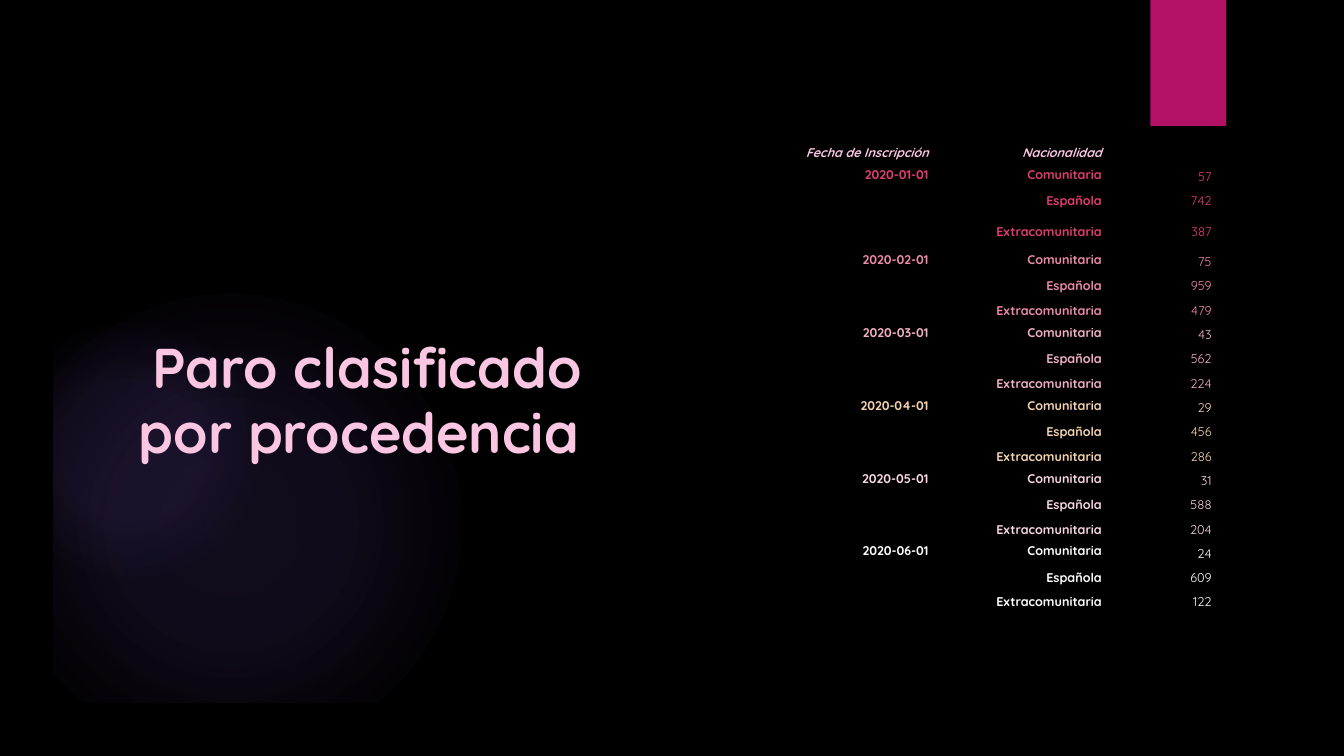
from lxml import etree
from pptx import Presentation
from pptx.dml.color import RGBColor
from pptx.enum.shapes import MSO_SHAPE as Preset
from pptx.enum.text import MSO_ANCHOR as Anchor, PP_ALIGN as Align
from pptx.oxml.ns import qn
from pptx.util import Pt

FONT = "Quicksand"
COLORS = {"black": "000000", "glow": "9B6BF2", "ribbon": "B31166", "title": "FAC6E1"}
NO_STYLE = "{2D5ABB26-0587-4C30-8999-92F81FD0307C}"
WIDTH, HEIGHT = 960, 540

HEADERS = ["Fecha de Inscripción", "Nacionalidad", ""]
NATIONALITIES = ["Comunitaria", "Española", "Extracomunitaria"]
# Date, colour and one count per nationality
MONTHS = [
    ("2020-01-01", "E33D6F", (57, 742, 387)),
    ("2020-02-01", "EE8BA9", (75, 959, 479)),
    ("2020-03-01", "F4B1C5", (43, 562, 224)),
    ("2020-04-01", "F6D4B0", (29, 456, 286)),
    ("2020-05-01", "F9D8E2", (31, 588, 204)),
    ("2020-06-01", "FFFFFF", (24, 609, 122)),
]


def rgb(color):
    return RGBColor.from_string(color)


def add_block(slide, preset, left, top, width, height, color):
    shape = slide.shapes.add_shape(preset, Pt(left), Pt(top), Pt(width), Pt(height))
    shape.shadow.inherit = False
    shape.fill.solid()
    shape.fill.fore_color.rgb = rgb(color)
    shape.line.fill.background()
    return shape


def add_glow(slide, left, top, size, stops):
    """Circle that fades outwards; stops are (position, opacity) in percent."""
    shape = add_block(slide, Preset.OVAL, left, top, size, size, COLORS["glow"])
    gradient = etree.Element(qn("a:gradFill"), rotWithShape="1")
    stop_list = etree.SubElement(gradient, qn("a:gsLst"))
    for position, opacity in stops:
        stop = etree.SubElement(stop_list, qn("a:gs"), pos=str(position * 1000))
        color = etree.SubElement(stop, qn("a:srgbClr"), val=COLORS["glow"])
        etree.SubElement(color, qn("a:alpha"), val=str(opacity * 1000))
    circle = etree.SubElement(gradient, qn("a:path"), path="circle")
    etree.SubElement(circle, qn("a:fillToRect"), l="50000", t="50000", r="50000", b="50000")
    properties = shape._element.spPr
    properties.replace(properties.find(qn("a:solidFill")), gradient)


def style_font(paragraph, size, color, bold=True, italic=False):
    font = paragraph.font
    font.name, font.size, font.bold, font.italic = FONT, Pt(size), bold, italic
    font.color.rgb = rgb(color)


def add_title(slide, text):
    box = slide.shapes.add_textbox(Pt(90.7), Pt(153.4), Pt(342.7), Pt(183.6))
    frame = box.text_frame
    frame.word_wrap = True
    frame.vertical_anchor = Anchor.BOTTOM
    paragraph = frame.paragraphs[0]
    paragraph.text = text
    paragraph.alignment = Align.CENTER
    paragraph.line_spacing = 0.97
    style_font(paragraph, 40, COLORS["title"])


def fill_cell(cell, text, color, bold=True, italic=False, anchor=Anchor.MIDDLE):
    cell.fill.background()
    cell.margin_left = cell.margin_right = Pt(3.6)
    cell.margin_top = cell.margin_bottom = Pt(1.4)
    cell.vertical_anchor = anchor
    paragraph = cell.text_frame.paragraphs[0]
    paragraph.text = text
    paragraph.alignment = Align.RIGHT
    style_font(paragraph, 9, color, bold, italic)


def add_unemployment_table(slide):
    group = len(NATIONALITIES)
    row_count = 1 + group * len(MONTHS)
    table = slide.shapes.add_table(
        row_count, 3, Pt(514.1), Pt(100.1), Pt(355), Pt(339.2)).table
    table.first_row = table.horz_banding = False
    table._tbl.tblPr.find(qn("a:tableStyleId")).text = NO_STYLE
    for column, width in zip(table.columns, (152.7, 123.8, 78.5)):
        column.width = Pt(width)
    for row in table.rows:
        row.height = Pt(17.4)
    table.rows[group].height = Pt(26)

    for column, header in enumerate(HEADERS):
        fill_cell(table.cell(0, column), header, COLORS["title"], italic=True)
    for month, (date, color, counts) in enumerate(MONTHS):
        first = 1 + month * group
        for offset, (nationality, count) in enumerate(zip(NATIONALITIES, counts)):
            row = first + offset
            anchor = Anchor.MIDDLE if offset else Anchor.TOP
            fill_cell(table.cell(row, 0), "" if offset else date, color, anchor=anchor)
            fill_cell(table.cell(row, 1), nationality, color, anchor=anchor)
            fill_cell(table.cell(row, 2), str(count), color, bold=False)
        table.cell(first, 0).merge(table.cell(first + group - 1, 0))


def main():
    presentation = Presentation()
    presentation.slide_width, presentation.slide_height = Pt(WIDTH), Pt(HEIGHT)
    slide = presentation.slides.add_slide(presentation.slide_layouts[6])

    # Black background with violet glows, cropped by a black border
    slide.background.fill.solid()
    slide.background.fill.fore_color.rgb = rgb(COLORS["black"])
    add_glow(slide, 0, 210, 330, [(0, 11), (36, 10), (75, 0)])
    add_glow(slide, 0, 228, 186, [(0, 8), (36, 8), (72, 0)])
    border = add_block(slide, Preset.FRAME, 0, 0, WIDTH, HEIGHT, COLORS["black"])
    border.adjustments[0] = 0.07

    # Ribbon, title and figures
    add_block(slide, Preset.RECTANGLE, 821.8, 0, 54, 90, COLORS["ribbon"])
    add_title(slide, "Paro clasificado por procedencia ")
    add_unemployment_table(slide)

    presentation.save("out.pptx")


if __name__ == "__main__":
    main()
